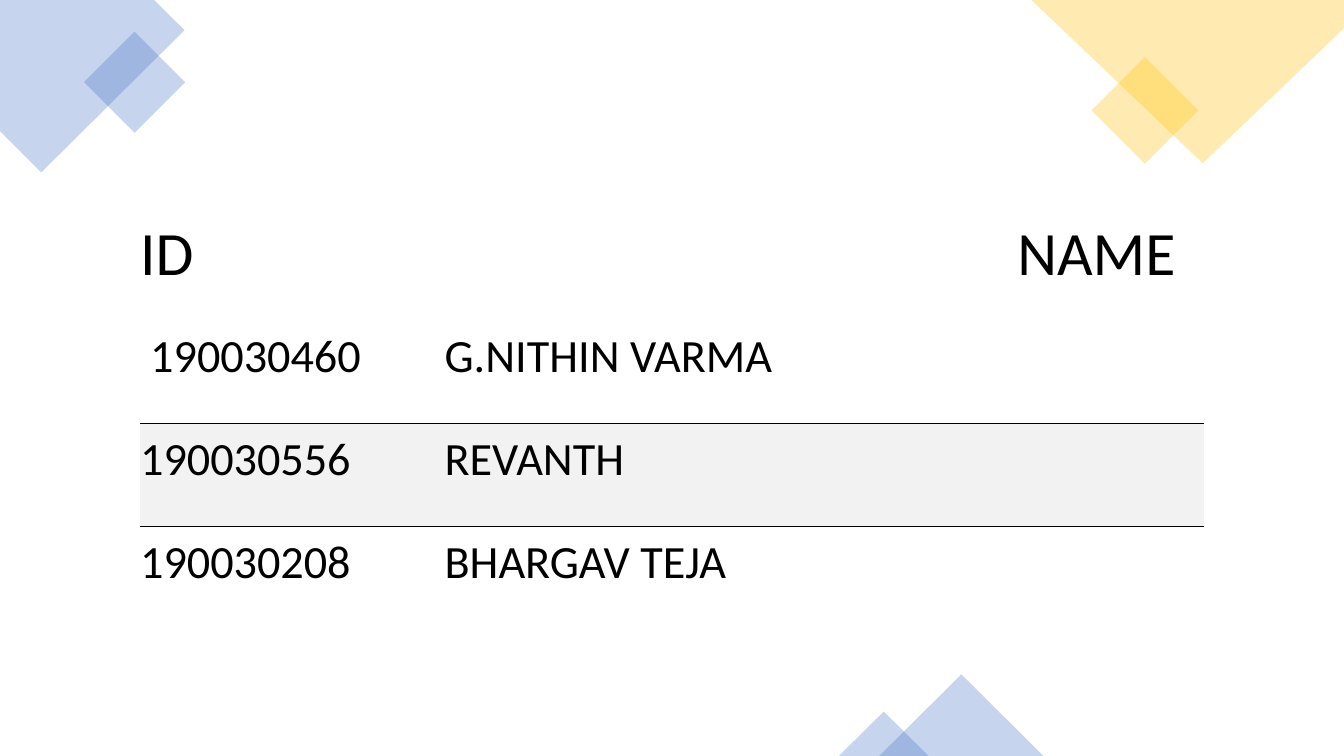
from lxml.etree import SubElement
from pptx import Presentation
from pptx.dml.color import RGBColor
from pptx.enum.shapes import MSO_SHAPE
from pptx.enum.text import MSO_ANCHOR, PP_ALIGN
from pptx.oxml import parse_xml
from pptx.oxml.ns import nsdecls, qn
from pptx.util import Inches, Pt

COLORS = {"blue": "4472C4", "gold": "FFC000", "band": "F2F2F2", "text": "000000"}
NO_STYLE = "{2D5ABB26-0587-4C30-8999-92F81FD0307C}"
ROWS = [
    ("ID", "NAME"),
    ("190030460", "G.NITHIN VARMA"),
    ("190030556", "REVANTH"),
    ("190030208", "BHARGAV TEJA"),
]


def rgb(name):
    return RGBColor.from_string(COLORS[name])


def tint(sp, color):
    sp.shadow.inherit = False
    sp.fill.solid()
    sp.fill.fore_color.rgb = rgb(color)
    sp.line.fill.background()
    clr = sp.fill._xPr.find(qn("a:solidFill"))[0]
    SubElement(clr, qn("a:alpha"), val="30000")


def add_polygon(s, points, color):
    pts = [(Inches(x), Inches(y)) for x, y in points]
    builder = s.shapes.build_freeform(*pts[0])
    builder.add_line_segments(pts[1:], close=True)
    tint(builder.convert_to_shape(), color)


def add_preset(s, kind, box, color, rotation=0):
    sp = s.shapes.add_shape(kind, *map(Inches, box))
    sp.rotation = rotation
    tint(sp, color)


def add_left_corner(s, left, top):
    outline = [(1.53, 0), (0, 0), (0, 1.3), (0.41, 1.71), (1.83, 0.3)]
    add_polygon(s, [(left + x, top + y) for x, y in outline], "blue")
    add_preset(s, MSO_SHAPE.RECTANGLE, (left + 0.98, top + 0.46, 0.71, 0.71), "blue", 315)


def add_right_corner(s, right, top):
    add_preset(s, MSO_SHAPE.RECTANGLE, (right - 2.35, top + 0.72, 0.75, 0.75), "gold", 315)
    outline = [(0, 0), (-3.1, 0), (-1.4, 1.62), (0, 0.28)]
    add_polygon(s, [(right + x, top + y) for x, y in outline], "gold")


def add_bottom_peaks(s, left, bottom):
    for dx, width, height in [(0.4, 1.63, 0.81), (0, 0.89, 0.44)]:
        box = (left + dx, bottom - height, width, height)
        add_preset(s, MSO_SHAPE.ISOSCELES_TRIANGLE, box, "blue")


def add_border(cell, side):
    cell._tc.get_or_add_tcPr().insert(0, parse_xml(
        f'<a:{side} {nsdecls("a")} w="{Pt(0.75)}"><a:solidFill>'
        f'<a:srgbClr val="{COLORS["text"]}"/></a:solidFill></a:{side}>'))


def format_cell(cell, text, row, col):
    header = row == 0
    margins = {
        "margin_left": Inches(0.1 if (row, col) == (1, 0) else 0),
        "margin_top": Inches(0.06 if header else 0.08),
        "margin_right": Inches(0.28),
        "margin_bottom": Inches(0.28),
        "vertical_anchor": MSO_ANCHOR.BOTTOM if header else MSO_ANCHOR.TOP,
    }
    for name, value in margins.items():
        setattr(cell, name, value)
    if row == 2:
        cell.fill.solid()
        cell.fill.fore_color.rgb = rgb("band")
    else:
        cell.fill.background()
    if row in (1, 2):
        add_border(cell, "lnB" if row == 1 else "lnT")
    p = cell.text_frame.paragraphs[0]
    p.alignment = PP_ALIGN.RIGHT if header and col == 1 else PP_ALIGN.LEFT
    r = p.add_run()
    r.text = text
    font = {"name": "Calibri", "size": Pt(44 if header else 33), "bold": False}
    for name, value in font.items():
        setattr(r.font, name, value)
    r.font.color.rgb = rgb("text")


def add_members(s, left, top, widths, heights):
    frame = s.shapes.add_table(
        len(heights), len(widths), Inches(left), Inches(top),
        Inches(sum(widths)), Inches(sum(heights)))
    table = frame.table
    table.first_row = table.horz_banding = False
    table._tbl.tblPr.find(qn("a:tableStyleId")).text = NO_STYLE
    for column, width in zip(table.columns, widths):
        column.width = Inches(width)
    for i, (height, texts) in enumerate(zip(heights, ROWS)):
        table.rows[i].height = Inches(height)
        for j, text in enumerate(texts):
            format_cell(table.cell(i, j), text, i, j)


def main():
    prs = Presentation()
    prs.slide_width, prs.slide_height = Inches(13.33), Inches(7.5)
    s = prs.slides.add_slide(prs.slide_layouts[6])
    add_left_corner(s, 0, 0)
    add_right_corner(s, 13.33, 0)
    add_bottom_peaks(s, 8.32, 7.5)
    add_members(s, 1.39, 1.27, [3.02, 7.53], [1.91] + [1.02] * 3)
    prs.save("out.pptx")


if __name__ == "__main__":
    main()
